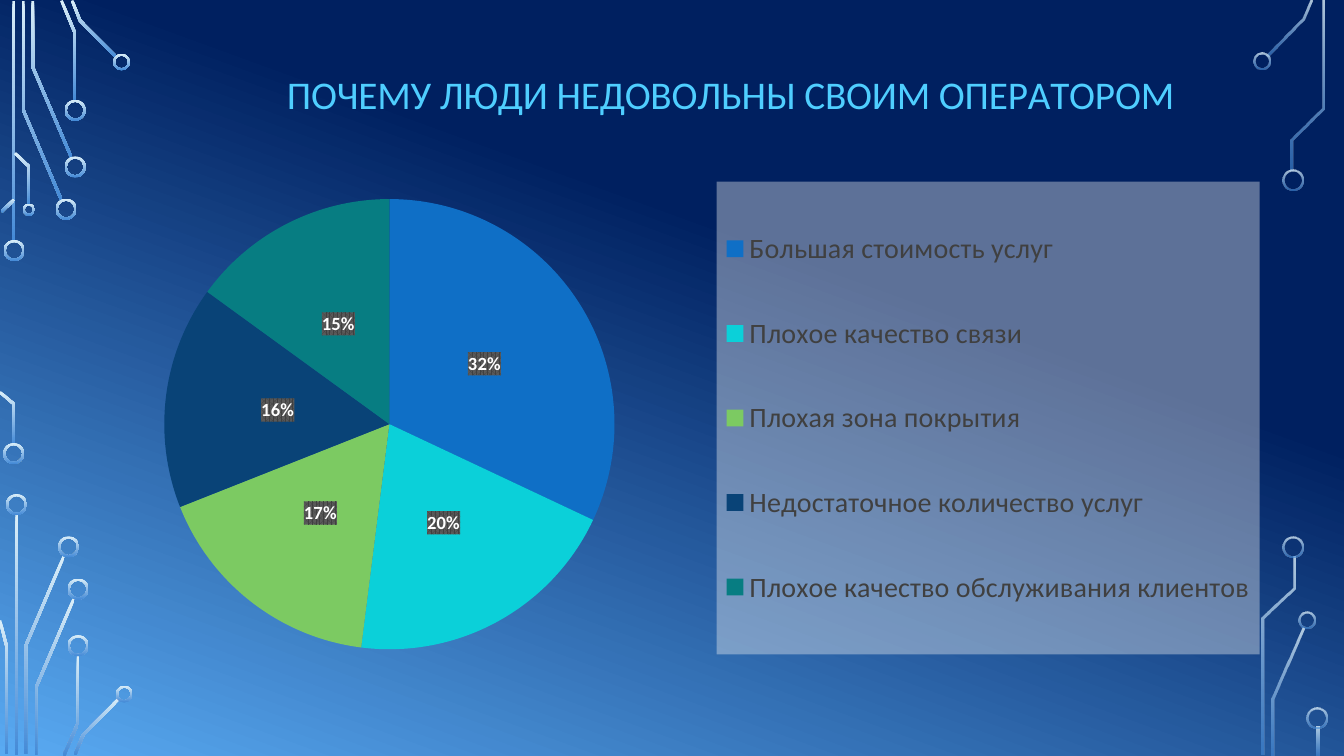
from math import hypot

from pptx import Presentation
from pptx.chart.data import CategoryChartData
from pptx.dml.color import RGBColor
from pptx.enum.chart import XL_CHART_TYPE, XL_LABEL_POSITION, XL_LEGEND_POSITION
from pptx.enum.shapes import MSO_SHAPE
from pptx.oxml import parse_xml
from pptx.oxml.ns import nsdecls, qn
from pptx.util import Pt

NAVY = RGBColor(0x00, 0x20, 0x60)
SKY = RGBColor(0x59, 0xAA, 0xF2)
TRACE_LIGHT = RGBColor(0xDB, 0xEF, 0xF9)
TRACE_BLUE = RGBColor(0x44, 0x8A, 0xD7)
TITLE_BLUE = RGBColor(0x4F, 0xCE, 0xFF)
WHITE = RGBColor(0xFF, 0xFF, 0xFF)
LEGEND_GREY = RGBColor(0xF2, 0xF2, 0xF2)
DARK_GREY = RGBColor(0x40, 0x40, 0x40)
MID_GREY = RGBColor(0x59, 0x59, 0x59)

FONT = "Calibri"
TITLE = "ПОЧЕМУ ЛЮДИ НЕДОВОЛЬНЫ СВОИМ ОПЕРАТОРОМ"
REASONS = [
    ("Большая стоимость услуг", 32, RGBColor(0x0F, 0x6F, 0xC6)),
    ("Плохое качество связи", 20, RGBColor(0x0B, 0xD0, 0xD9)),
    ("Плохая зона покрытия", 17, RGBColor(0x7C, 0xCA, 0x62)),
    ("Недостаточное количество услуг", 16, RGBColor(0x09, 0x43, 0x77)),
    ("Плохое качество обслуживания клиентов", 15, RGBColor(0x07, 0x7D, 0x82)),
]

TRACE_WIDTH = 1.9
RING_WIDTH = 1.44
OPAQUE = (100, 100)
FADED = (80, 60)

# Centre lines of the circuit traces
LEFT_TRACES = [
    [(9.7, 0.7), (9.7, 172.8)],
    [(43.9, 142.9), (16.6, 78.5), (16.6, 0.7)],
    [(51.1, 112.7), (23.4, 47.9), (23.4, 0.7)],
    [(53.6, 72), (53.6, 23.8), (43.9, 0.4)],
    [(83.2, 41), (57.2, 14.8), (51.5, 0.4)],
    [(1.1, 151.2), (10.1, 142.6)],
    [(10.1, 317.5), (10.1, 288.7), (0, 280.1)],
    [(20.9, 146.2), (20.9, 119.2), (10.8, 109.4)],
    [(11.9, 367.2), (11.9, 539.3)],
    [(18.4, 538.6), (18.4, 461.2), (45.7, 397.1)],
    [(4.7, 538.6), (4.7, 461.5), (0, 443.2)],
    [(25.6, 539.3), (25.6, 491.4), (52.9, 427.3)],
    [(45.7, 539.6), (55.8, 516.2), (55.8, 468)],
    [(53.6, 538.9), (59.4, 524.9), (85, 499)],
]
RIGHT_TRACES = [
    [(905, 40), (930.6, 14), (936.4, 0.4)],
    [(909, 539.3), (909, 499.3), (931, 448.9)],
    [(923, 121.7), (923, 99.7), (945, 77.4), (945, 0.7)],
    [(901.8, 539.3), (901.8, 441.7), (924.1, 420.1), (924.1, 397.4)],
    [(941.4, 519.1), (941.4, 539.3)],
]
# Centre and diameter of the rings
LEFT_RINGS = [
    (10.1, 178.9, 15), (9.8, 324, 15), (47.2, 149.4, 15), (53.7, 119.2, 15),
    (53.7, 78.8, 15), (86.8, 44.3, 12), (20.6, 149.8, 8.8), (11.8, 360.4, 15),
    (49, 390.6, 15), (55.8, 420.8, 15), (55.8, 461.2, 15), (88.8, 495.7, 12),
]
RIGHT_RINGS = [
    (901.2, 43.5, 12), (923.4, 128.5, 15), (933.5, 443.2, 12),
    (923.8, 390.6, 15), (940.7, 512.6, 15),
]


def set_gradient(fill, stops, angle):
    """Fill with (position, colour, opacity in percent) stops; angle is counter-clockwise."""
    fill.gradient()
    fill.gradient_angle = angle
    for stop, (position, colour, opacity) in zip(fill.gradient_stops, stops):
        stop.position = position
        stop.color.rgb = colour
        if opacity < 100:
            alpha = parse_xml(f'<a:alpha {nsdecls("a")} val="{opacity * 1000}"/>')
            stop._gs.find(qn("a:srgbClr")).append(alpha)


def style_trace(shape, opacities):
    start, end = opacities
    set_gradient(shape.fill, [(0, TRACE_LIGHT, start), (1, TRACE_BLUE, end)], 270)
    shape.line.fill.background()
    shape.shadow.inherit = False


def ribbon_outline(centre_line):
    """Return the outline of a mitred band around the centre line."""
    normals = []
    for (x1, y1), (x2, y2) in zip(centre_line, centre_line[1:]):
        length = hypot(x2 - x1, y2 - y1)
        normals.append(((y1 - y2) / length, (x2 - x1) / length))
    near, far = [], []
    before_after = zip(normals[:1] + normals, normals + normals[-1:])
    for (x, y), ((ax, ay), (bx, by)) in zip(centre_line, before_after):
        reach = TRACE_WIDTH / 2 / (1 + ax * bx + ay * by)
        dx, dy = (ax + bx) * reach, (ay + by) * reach
        near.append((x + dx, y + dy))
        far.append((x - dx, y - dy))
    return near + far[::-1]


def add_trace(slide, centre_line, opacities):
    first, *others = [(Pt(x), Pt(y)) for x, y in ribbon_outline(centre_line)]
    builder = slide.shapes.build_freeform(*first)
    builder.add_line_segments(others, close=True)
    style_trace(builder.convert_to_shape(), opacities)


def add_ring(slide, x, y, diameter, opacities):
    shape = slide.shapes.add_shape(
        MSO_SHAPE.DONUT, Pt(x - diameter / 2), Pt(y - diameter / 2), Pt(diameter), Pt(diameter))
    shape.adjustments[0] = RING_WIDTH / diameter
    style_trace(shape, opacities)


def set_font(font, size, colour, bold=False):
    for name, value in {"name": FONT, "size": Pt(size), "bold": bold}.items():
        setattr(font, name, value)
    font.color.rgb = colour


def set_layout(element, index, **fractions):
    """Place a chart part by fractions of the chart frame."""
    for layout in element.findall(qn("c:layout")):
        element.remove(layout)
    target = '<c:layoutTarget val="inner"/>' if element.tag == qn("c:plotArea") else ""
    modes = "".join(f'<c:{side}Mode val="edge"/>' for side in "xy")
    sizes = "".join(f'<c:{side} val="{value}"/>' for side, value in fractions.items())
    element.insert(index, parse_xml(
        f'<c:layout {nsdecls("c")}><c:manualLayout>{target}{modes}{sizes}'
        '</c:manualLayout></c:layout>'))


def set_text_background(element, fill_xml):
    properties = parse_xml(f'<c:spPr {nsdecls("c", "a")}>{fill_xml}</c:spPr>')
    element.find(qn("c:txPr")).addprevious(properties)


def add_reasons_chart(slide):
    data = CategoryChartData(number_format="General")
    data.categories = [name for name, _, _ in REASONS]
    data.add_series("Series 1", [value for _, value, _ in REASONS])
    chart = slide.shapes.add_chart(
        XL_CHART_TYPE.PIE, Pt(-49.7), Pt(0), Pt(960), Pt(486), data).chart
    set_font(chart.font, 10, WHITE)
    set_layout(chart._chartSpace.chart.plotArea, 0, x=0.174, y=0.29, w=0.335, h=0.667)

    chart.has_title = True
    paragraph = chart.chart_title.text_frame.paragraphs[0]
    run = paragraph.add_run()
    run.text = TITLE
    set_font(run.font, 28, TITLE_BLUE)
    set_layout(chart.chart_title._element, 1, x=0.26, y=0.09)

    plot = chart.plots[0]
    plot.vary_by_categories = True
    for index, (_, _, colour) in enumerate(REASONS):
        fill = plot.series[0].points[index].format.fill
        fill.solid()
        fill.fore_color.rgb = colour

    plot.has_data_labels = True
    labels = plot.data_labels
    settings = {"show_percentage": True, "show_value": False, "number_format": "0%",
                "number_format_is_linked": False, "position": XL_LABEL_POSITION.CENTER}
    for name, value in settings.items():
        setattr(labels, name, value)
    set_font(labels.font, 13.3, WHITE, bold=True)
    set_text_background(labels._element, (
        f'<a:pattFill prst="pct75"><a:fgClr><a:srgbClr val="{DARK_GREY}"/></a:fgClr>'
        f'<a:bgClr><a:srgbClr val="{MID_GREY}"/></a:bgClr></a:pattFill>'))

    chart.has_legend = True
    legend = chart.legend
    legend.position = XL_LEGEND_POSITION.RIGHT
    legend.include_in_layout = False
    set_font(legend.font, 20, DARK_GREY)
    set_layout(legend._element, 1, x=0.585, y=0.267, w=0.404, h=0.695)
    set_text_background(legend._element, (
        f'<a:solidFill><a:srgbClr val="{LEGEND_GREY}"><a:alpha val="39000"/></a:srgbClr>'
        '</a:solidFill>'))


def main():
    presentation = Presentation()
    presentation.slide_width, presentation.slide_height = Pt(960), Pt(540)
    slide = presentation.slides.add_slide(presentation.slide_layouts[6])
    set_gradient(slide.background.fill, [(0.36, NAVY, 100), (1, SKY, 100)], 250)
    for traces, rings, opacities in (
            (LEFT_TRACES, LEFT_RINGS, OPAQUE), (RIGHT_TRACES, RIGHT_RINGS, FADED)):
        for centre_line in traces:
            add_trace(slide, centre_line, opacities)
        for x, y, diameter in rings:
            add_ring(slide, x, y, diameter, opacities)
    add_reasons_chart(slide)
    presentation.save("out.pptx")


if __name__ == "__main__":
    main()
